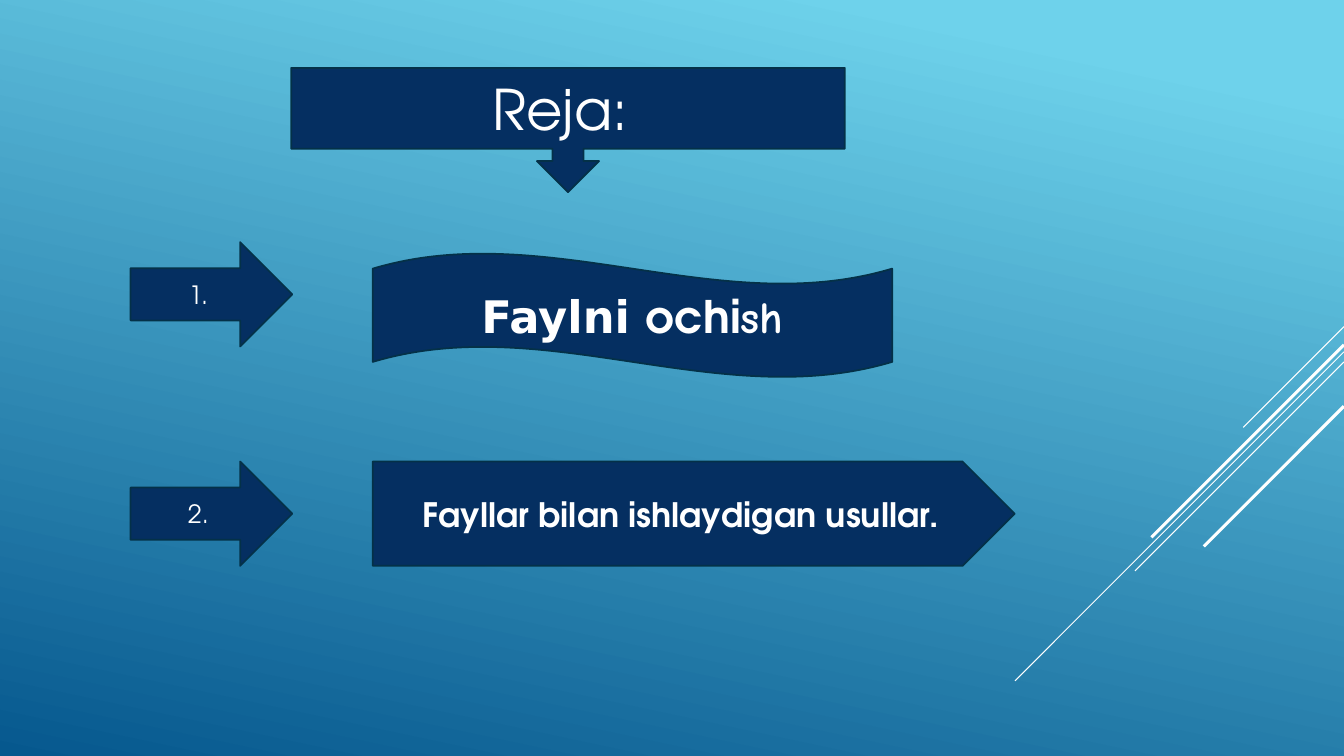
from lxml.etree import SubElement
from pptx import Presentation
from pptx.dml.color import RGBColor
from pptx.enum.shapes import MSO_CONNECTOR, MSO_SHAPE
from pptx.enum.text import MSO_ANCHOR, PP_ALIGN
from pptx.oxml.ns import qn
from pptx.util import Pt

COLORS = {
    "sky": "6ED2EB",
    "sea": "06588E",
    "navy": "052F61",
    "outline": "043148",
    "white": "FFFFFF",
}
BODY_FONT = "TeX Gyre Adventor"


def color(name):
    return RGBColor.from_string(COLORS[name])


def paint_background(slide):
    fill = slide.background.fill
    fill.gradient()
    fill.gradient_angle = 258
    for stop, position, name in zip(fill.gradient_stops, (0.1, 1), ("sky", "sea")):
        stop.position = position
        stop.color.rgb = color(name)


def draw_rays(slide, right, top):
    rays = [
        (0, 72, 0.75),
        (18, 235, 0.75),
        (25.2, 149.3, 0.75),
        (13, 137.5, 2.25),
        (56.9, 100.1, 2.25),
    ]
    for offset, reach, width in rays:
        start = top + offset
        ray = slide.shapes.add_connector(
            MSO_CONNECTOR.STRAIGHT,
            Pt(right), Pt(start), Pt(right - reach), Pt(start + reach),
        )
        ray.line.color.rgb = color("white")
        ray.line.width = Pt(width)
        SubElement(ray._element.spPr, qn("a:effectLst"))


def add_block(slide, preset, box, runs, size, bold=False):
    shape = slide.shapes.add_shape(preset, *(Pt(length) for length in box))
    shape.shadow.inherit = False
    shape.fill.solid()
    shape.fill.fore_color.rgb = color("navy")
    shape.line.color.rgb = color("outline")
    shape.line.width = Pt(1.25)
    text_frame = shape.text_frame
    text_frame.word_wrap = True
    text_frame.vertical_anchor = MSO_ANCHOR.MIDDLE
    paragraph = text_frame.paragraphs[0]
    paragraph.alignment = PP_ALIGN.CENTER
    for text, font_name in runs:
        run = paragraph.add_run()
        run.text = text
        run.font.name = font_name
        run.font.size = Pt(size)
        run.font.bold = bold
        run.font.color.rgb = color("white")


def add_plan_item(slide, left, top, number, preset, label_box, runs, size):
    arrow_box = (left, top, 115.5, 74.5)
    add_block(slide, MSO_SHAPE.RIGHT_ARROW, arrow_box, [(number, BODY_FONT)], 18)
    offset, width, height = label_box
    add_block(slide, preset, (left + 173, top + offset, width, height), runs, size, True)


def build_plan_slide(presentation):
    slide = presentation.slides.add_slide(presentation.slide_layouts[6])
    paint_background(slide)
    draw_rays(slide, 960, 233.3)
    add_block(slide, MSO_SHAPE.DOWN_ARROW_CALLOUT, (208, 48.5, 395.5, 88.8),
              [("Reja: ", BODY_FONT)], 40)
    opening = [("Faylni\u00a0".replace("\u00a0", chr(160)), "DejaVu Sans"),
               ("ochi", BODY_FONT), ("sh", "Comic Neue")]
    methods = [("Fayllar bilan ishlaydigan usullar.", BODY_FONT)]
    add_plan_item(slide, 93.3, 173, "1.", MSO_SHAPE.WAVE, (7.8, 371, 88.8), opening, 32)
    add_plan_item(slide, 93.3, 329.7, "2.", MSO_SHAPE.PENTAGON, (0, 458.5, 74.5), methods, 24)


def main():
    presentation = Presentation()
    presentation.slide_width = Pt(960)
    presentation.slide_height = Pt(540)
    build_plan_slide(presentation)
    presentation.save("out.pptx")


if __name__ == "__main__":
    main()
